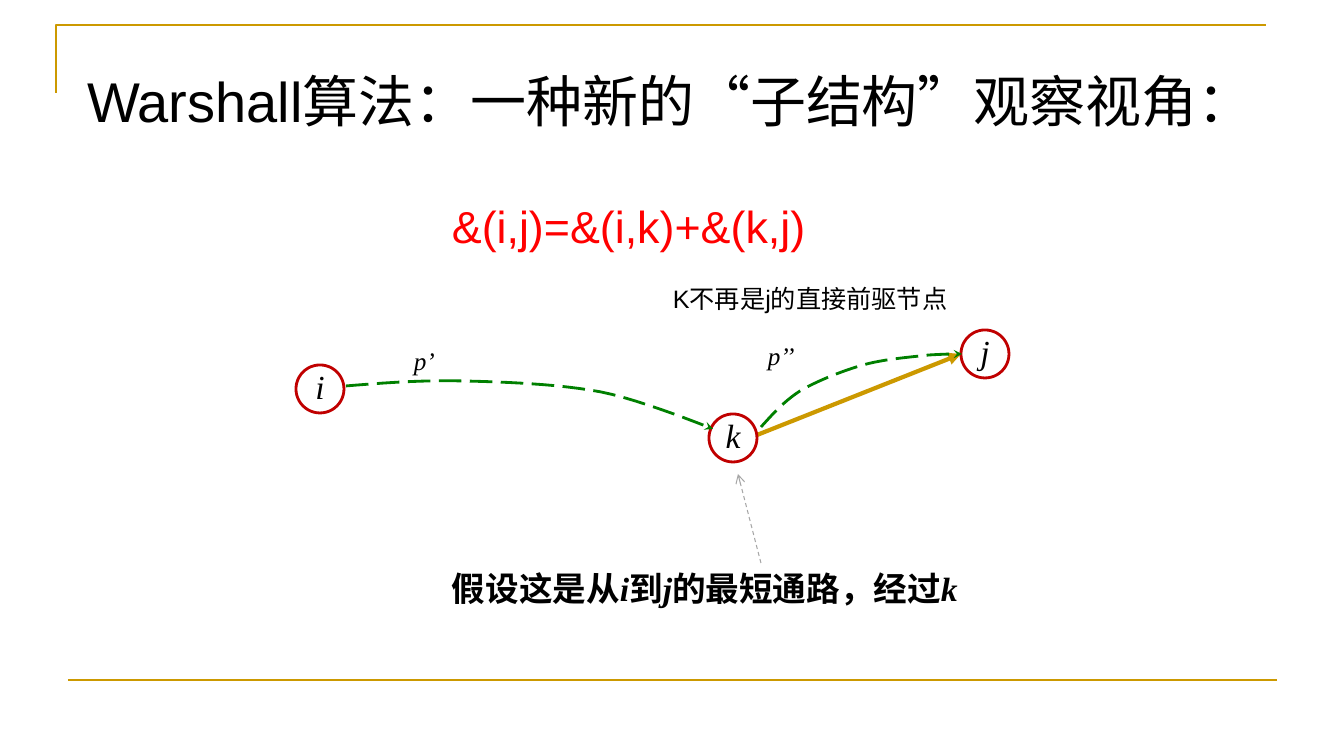
from lxml import etree
from pptx import Presentation
from pptx import util as u
from pptx.dml.color import RGBColor
from pptx.enum import dml, shapes, text
from pptx.oxml.ns import qn

SCALE = 914400 / 100.8
COLORS = {"gold": "CC9900", "red": "C00000", "green": "008000",
          "gray": "A6A6A6", "black": "000000", "formula": "FF0000"}
SERIF, SANS = "Times New Roman", "Arial"


def emu(*lengths):
    return [u.Emu(round(n * SCALE)) for n in lengths]


def stroke(sp, color, width, dash=None, head=None):
    sp.line.color.rgb = RGBColor.from_string(COLORS[color])
    sp.line.width = u.Pt(width)
    if dash:
        sp.line.dash_style = dash
    spPr = sp._element.spPr
    if head:
        etree.SubElement(spPr.find(qn("a:ln")), qn("a:tailEnd"), type=head)
    etree.SubElement(spPr, qn("a:effectLst"))


prs = Presentation()
prs.slide_width, prs.slide_height = emu(1344, 756)
s = prs.slides.add_slide(prs.slide_layouts[5])

title = s.shapes.title
title.left, title.top, title.width, title.height = emu(77, 61, 1200, 78)
tf = title.text_frame
tf.text = "Warshall算法：一种新的“子结构”观察视角："
tf.word_wrap = True
tf.auto_size = text.MSO_AUTO_SIZE.NONE
tf.vertical_anchor = text.MSO_ANCHOR.TOP
p = tf.paragraphs[0]
p.alignment = text.PP_ALIGN.LEFT
p.font.size = u.Pt(40)
p.font.name = SANS
p.font.color.rgb = RGBColor.from_string(COLORS["black"])

frame = s.shapes.build_freeform(*emu(56, 93))
frame.add_line_segments([emu(56, 25), emu(1266, 25)], close=False)
sp = frame.convert_to_shape()
sp.fill.background()
stroke(sp, "gold", 1.5)

for ends, color, width, dash, head in [
    ((68, 680, 1277, 680), "gold", 1.5, None, None),
    ((761, 563, 738, 474), "gray", 0.75, dml.MSO_LINE.DASH, "arrow"),
    ((757, 435, 961, 354), "gold", 3, None, "triangle"),
]:
    line = s.shapes.add_connector(shapes.MSO_CONNECTOR.STRAIGHT, *emu(*ends))
    stroke(line, color, width, dash, head)

for name, x, y in [("i", 296, 365), ("k", 709, 414), ("j", 961, 330)]:
    node = s.shapes.add_shape(shapes.MSO_SHAPE.OVAL, *emu(x, y, 48, 48))
    node.fill.background()
    stroke(node, "red", 2)
    tf = node.text_frame
    tf.margin_left, tf.margin_top, tf.margin_right, tf.margin_bottom = emu(0, 0, 0, 6)
    tf.word_wrap = False
    tf.vertical_anchor = text.MSO_ANCHOR.MIDDLE
    p = tf.paragraphs[0]
    p.text = name
    p.alignment = text.PP_ALIGN.CENTER
    p.font.size = u.Pt(24)
    p.font.name = SERIF
    p.font.italic = True
    p.font.color.rgb = RGBColor.from_string(COLORS["black"])

STEPS = 12
for curve in [
    [(346, 386), (383, 383), (420, 380), (463, 381), (505, 382), (559, 384),
     (601, 392), (642, 400), (713, 429), (713, 429)],
    [(761, 427), (772, 415), (783, 402), (800, 391), (817, 381), (842, 371),
     (863, 365), (884, 359), (912, 357), (929, 355), (946, 354), (954, 354), (962, 354)],
]:
    points = []
    for n in range(0, len(curve) - 1, 3):
        for step in range(1, STEPS + 1):
            t = step / STEPS
            weights = ((1 - t) ** 3, 3 * t * (1 - t) ** 2, 3 * t * t * (1 - t), t ** 3)
            points.append(emu(*(sum(w * c[axis] for w, c in zip(weights, curve[n:n + 4]))
                                for axis in (0, 1))))
    path = s.shapes.build_freeform(*emu(*curve[0]))
    path.add_line_segments(points, close=False)
    sp = path.convert_to_shape()
    sp.fill.background()
    stroke(sp, "green", 2, dml.MSO_LINE.LONG_DASH, "stealth")

for box, size, color, bold, runs in [
    ((442, 194, 380, 64), 32, "formula", False, [("&(i,j)=&(i,k)+&(k,j)", SANS)]),
    ((663, 278, 298, 40), 18, "black", False, [("K不再是j的直接前驱节点", SANS)]),
    ((404, 340, 139, 40), 18, "black", False, [("p’", SERIF)]),
    ((758, 335, 139, 40), 18, "black", False, [("p’’", SERIF)]),
    ((442, 563, 533, 51), 24, "black", True,
     [("假设这是从", SANS), ("i", SERIF), ("到", SANS), ("j", SERIF),
      ("的最短通路，经过", SANS), ("k", SERIF)]),
]:
    tf = s.shapes.add_textbox(*emu(*box)).text_frame
    tf.word_wrap = True
    p = tf.paragraphs[0]
    p.font.size = u.Pt(size)
    p.font.bold = bold
    p.font.color.rgb = RGBColor.from_string(COLORS[color])
    for words, font in runs:
        r = p.add_run()
        r.text = words
        r.font.size = u.Pt(size)
        r.font.bold = bold
        r.font.name = font
        r.font.italic = font == SERIF
        r.font.color.rgb = RGBColor.from_string(COLORS[color])

prs.save("out.pptx")
